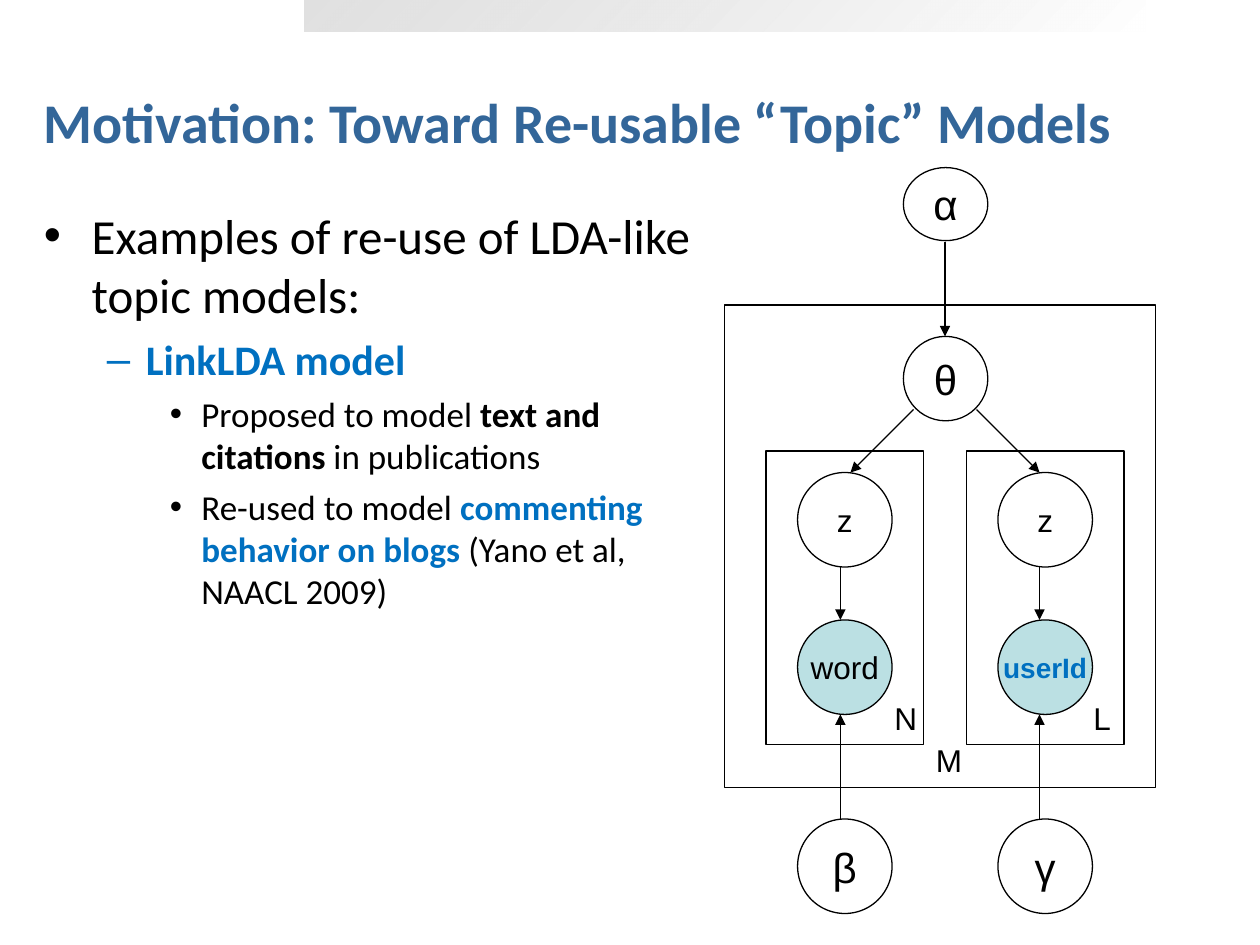
from dataclasses import dataclass

from lxml.etree import SubElement as Sub
from pptx import Presentation
from pptx.dml.color import RGBColor as RGB
from pptx.enum.shapes import MSO_CONNECTOR as Conn, MSO_SHAPE as Kind
from pptx.enum.text import MSO_ANCHOR as Anchor, PP_ALIGN as Align
from pptx.oxml.ns import qn
from pptx.util import Inches, Pt


@dataclass(frozen=True)
class Theme:
    head: str = "Calibri"
    node: str = "Arial"
    ink: str = "000000"
    navy: str = "336699"
    blue: str = "0070C0"
    teal: str = "BBE0E3"
    title: int = 32
    levels: tuple = (28, 24, 20)
    greek: int = 24
    label: int = 18
    small: int = 16
    line: float = 0.75


T = Theme()
TITLE = "Motivation: Toward Re-usable “Topic” Models"
LEVELS = [
    {"left": 0.38, "hang": 0.38, "mark": "•", "gap": 7},
    {"left": 0.81, "hang": 0.31, "mark": "–", "gap": 6},
    {"left": 1.25, "hang": 0.25, "mark": "•", "gap": 5},
]
BODY = [
    (0, [("Examples of re-use of LDA-like topic models:", False, T.ink)]),
    (1, [("LinkLDA model", True, T.blue)]),
    (2, [("Proposed to model ", False, T.ink), ("text and citations", True, T.ink),
         (" in publications", False, T.ink)]),
    (2, [("Re-used to model ", False, T.ink),
         ("commenting behavior on blogs ", True, T.blue),
         ("(Yano et al, NAACL 2009)", False, T.ink)]),
]
TOP = [("α", 1.33, 0.58), ("θ", 2.67, 0.67)]
PLATES = [
    {"x": 6.08, "seen": "word", "size": T.label, "tint": T.ink, "bold": False,
     "prior": "β", "count": "N", "tag": 7.0, "stem": 6.67, "fork": (7.25, 6.75)},
    {"x": 7.67, "seen": "userId", "size": T.small, "tint": T.blue, "bold": True,
     "prior": "γ", "count": "L", "tag": 8.58, "stem": 8.25, "fork": (7.75, 8.25)},
]
ROWS = {"z": 3.75, "seen": 4.92, "prior": 6.5}
DISC = 0.75

deck = Presentation()
deck.slide_width, deck.slide_height = Inches(10), Inches(7.5)
slide = deck.slides.add_slide(deck.slide_layouts[6])
shapes = slide.shapes


def style(font, face, size, tint=None, bold=None):
    font.name, font.size = face, Pt(size)
    if tint:
        font.color.rgb = RGB.from_string(tint)
    if bold is not None:
        font.bold = bold


def box(x, y, w, h):
    frame = shapes.add_textbox(*map(Inches, (x, y, w, h))).text_frame
    frame.word_wrap = True
    return frame


def write(frame, text, face, size, tint=T.ink, bold=False):
    para = frame.paragraphs[0]
    para.text = text
    style(para.font, face, size, tint, bold)
    return para


def form(kind, x, y, w, h, fill=None):
    shape = shapes.add_shape(kind, *map(Inches, (x, y, w, h)))
    shape.shadow.inherit = False
    if fill:
        shape.fill.solid()
        shape.fill.fore_color.rgb = RGB.from_string(fill)
    else:
        shape.fill.background()
    shape.line.color.rgb = RGB.from_string(T.ink)
    shape.line.width = Pt(T.line)
    return shape


def node(text, x, y, w, h, size, tint=T.ink, bold=False, fill=None):
    frame = form(Kind.OVAL, x, y, w, h, fill).text_frame
    frame.word_wrap = False
    frame.vertical_anchor = Anchor.MIDDLE
    write(frame, text, T.node, size, tint, bold).alignment = Align.CENTER


def arrow(*ends):
    link = shapes.add_connector(Conn.STRAIGHT, *map(Inches, ends))
    link.line.color.rgb = RGB.from_string(T.ink)
    link.line.width = Pt(T.line)
    Sub(link.line._get_or_add_ln(), qn("a:tailEnd"), type="triangle")
    Sub(link._element.spPr, qn("a:effectLst"))


def label(text, x, y, w):
    write(box(x, y, w, 0.4), text, T.node, T.label)


def band():
    shape = form(Kind.RECTANGLE, 2.42, 0, 6.67, 0.25)
    shape.line.fill.background()
    shape.fill.gradient()
    shape.fill.gradient_angle = 315
    for stop, (tint, alpha) in zip(shape.fill.gradient_stops,
                                   [("C0C0C0", 48), ("FFFFFF", 68)]):
        stop.color.rgb = RGB.from_string(tint)
    fills = shape._element.spPr.iter(qn("a:srgbClr"))
    for color, alpha in zip(list(fills), (48, 68)):
        Sub(color, qn("a:alpha"), val=str(alpha * 1000))


def outline():
    frame = box(0.25, 1.58, 5.33, 5.67)
    for i, (depth, runs) in enumerate(BODY):
        para = frame.add_paragraph() if i else frame.paragraphs[0]
        rule = LEVELS[depth]
        para.level = depth
        prop = para._p.get_or_add_pPr()
        prop.set("marL", str(Inches(rule["left"])))
        prop.set("indent", str(-Inches(rule["hang"])))
        color = Sub(prop, qn("a:buClr"))
        Sub(color, qn("a:srgbClr"), val=runs[0][2])
        Sub(prop, qn("a:buFont"), typeface=T.node)
        Sub(prop, qn("a:buChar"), char=rule["mark"])
        if i:
            para.space_before = Pt(rule["gap"])
        style(para.font, T.head, T.levels[depth])
        for text, bold, tint in runs:
            run = para.add_run()
            run.text = text
            run.font.bold = bold
            run.font.color.rgb = RGB.from_string(tint)


def plate(x, seen, size, tint, bold, prior, count, tag, stem, fork):
    form(Kind.RECTANGLE, x, 3.58, 1.25, 2.33)
    left = x + 0.25
    node("z", left, ROWS["z"], DISC, DISC, T.label)
    node(seen, left, ROWS["seen"], DISC, DISC, size, tint, bold, T.teal)
    node(prior, left, ROWS["prior"], DISC, DISC, T.greek)
    arrow(fork[0], 3.25, fork[1], ROWS["z"])
    arrow(stem, ROWS["z"] + DISC, stem, ROWS["seen"])
    arrow(stem, ROWS["prior"], stem, ROWS["seen"] + DISC)
    label(count, tag, 5.5, 0.33)


band()
head = box(0.25, 0.5, 9.25, 0.92)
head.vertical_anchor = Anchor.MIDDLE
write(head, TITLE, T.head, T.title, T.navy, True)
outline()
form(Kind.RECTANGLE, 5.75, 2.42, 3.42, 3.83)
for text, y, h in TOP:
    node(text, 7.17, y, 0.67, h, T.greek)
arrow(7.5, 1.92, 7.5, 2.67)
for item in PLATES:
    plate(**item)
label("M", 7.33, 5.83, 0.25)
deck.save("out.pptx")
